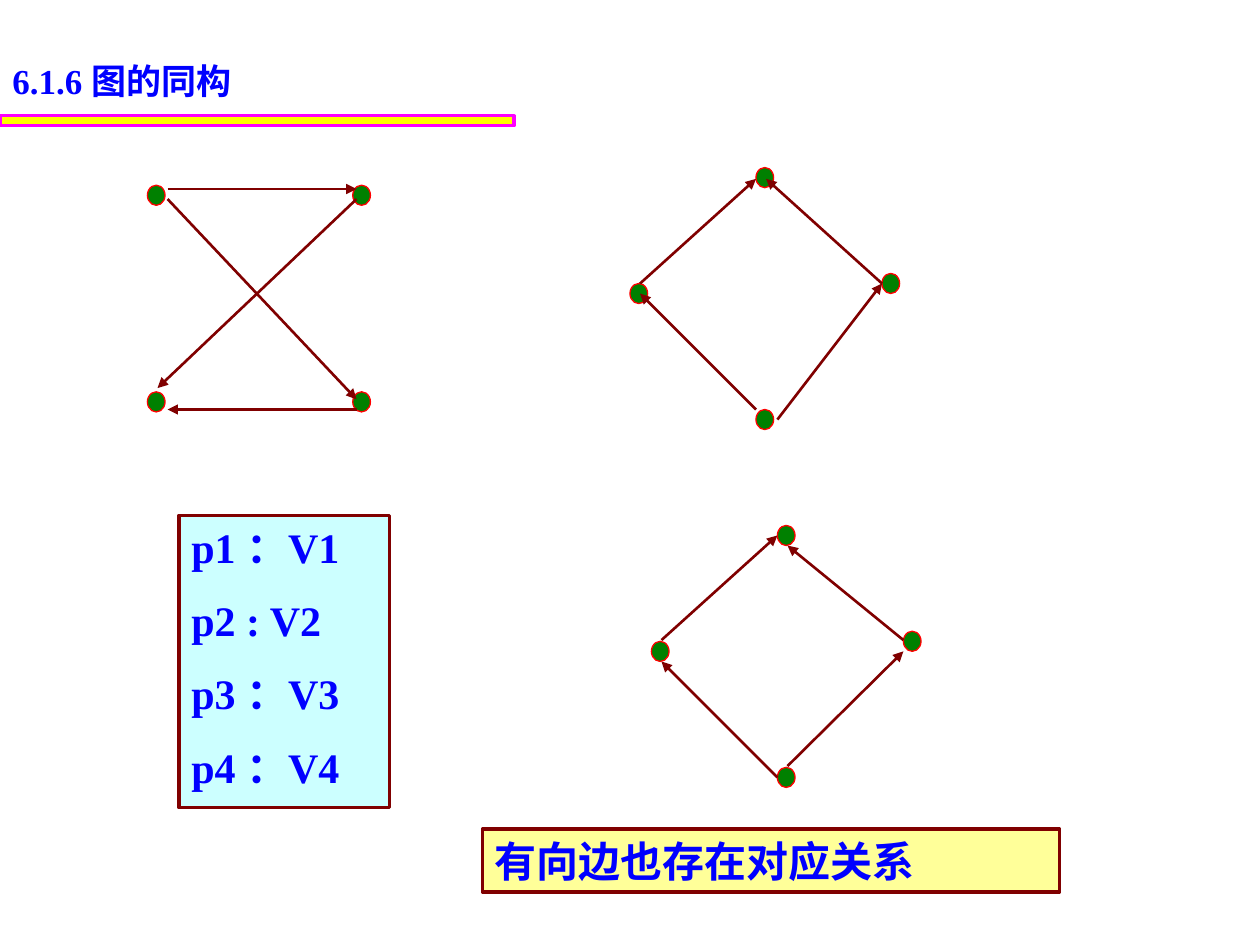
import pptx
import pptx.dml.color
import pptx.enum.shapes
import pptx.enum.text
import pptx.oxml.ns
import pptx.util
from lxml import etree
from pptx.util import Inches

RGBColor = pptx.dml.color.RGBColor
BLUE = RGBColor(0x00, 0x00, 0xFF)
MAROON = RGBColor(0x80, 0x00, 0x00)
GREEN = RGBColor(0x00, 0x80, 0x00)
RED = RGBColor(0xFF, 0x00, 0x00)
YELLOW = RGBColor(0xFF, 0xFF, 0x00)
MAGENTA = RGBColor(0xFF, 0x00, 0xFF)
PALE_CYAN = RGBColor(0xCC, 0xFF, 0xFF)
PALE_YELLOW = RGBColor(0xFF, 0xFF, 0x99)

SERIF = "Times New Roman"
CHINESE = "Noto Sans CJK SC"
KINDS = pptx.enum.shapes.MSO_SHAPE
NODE_SIZE = (0.14, 0.16)


def add_shape(shapes, kind, box, fill, line, weight):
    shape = shapes.add_shape(kind, *map(Inches, box))
    shape.shadow.inherit = False
    shape.fill.solid()
    shape.fill.fore_color.rgb = fill
    shape.line.color.rgb = line
    shape.line.width = pptx.util.Pt(weight)
    return shape


def add_arrow(shapes, start, end):
    arrow = shapes.add_connector(
        pptx.enum.shapes.MSO_CONNECTOR.STRAIGHT, *map(Inches, start + end))
    arrow.line.color.rgb = MAROON
    arrow.line.width = pptx.util.Pt(1.5)
    qn = pptx.oxml.ns.qn
    etree.SubElement(arrow.line._get_or_add_ln(), qn("a:tailEnd"), type="triangle")
    etree.SubElement(arrow._element.spPr, qn("a:effectLst"))


def set_font(font, size, name):
    font.size = pptx.util.Pt(size)
    font.name = name
    font.bold = True
    font.color.rgb = BLUE


def set_east_asian_font(span):
    etree.SubElement(span._r.get_or_add_rPr(), pptx.oxml.ns.qn("a:ea"), typeface=CHINESE)


def add_title(page, left, top, width):
    box = page.shapes.add_textbox(*map(Inches, (left, top, width, 0.43)))
    box.text_frame.word_wrap = True
    para = box.text_frame.paragraphs[0]
    for text, name in (("6.1.6 ", SERIF), ("图的同构", "Arial")):
        span = para.add_run()
        span.text = text
        set_font(span.font, 20, name)
        set_east_asian_font(span)
    add_shape(page.shapes, KINDS.RECTANGLE, (left, top + 0.5, 4.08, 0.08),
              YELLOW, MAGENTA, 1.75)


def add_graph(shapes, left, top, nodes, edges):
    for x, y in nodes:
        add_shape(shapes, KINDS.OVAL, (left + x, top + y, *NODE_SIZE), GREEN, RED, 0.75)
    for x1, y1, x2, y2 in edges:
        add_arrow(shapes, (left + x1, top + y1), (left + x2, top + y2))


def add_panel(page, box, fill, lines, name):
    panel = add_shape(page.shapes, KINDS.RECTANGLE, box, fill, MAROON, 2)
    frame = panel.text_frame
    frame.word_wrap = True
    frame.vertical_anchor = pptx.enum.text.MSO_ANCHOR.TOP
    for index, text in enumerate(lines):
        para = frame.add_paragraph() if index else frame.paragraphs[0]
        para.alignment = pptx.enum.text.PP_ALIGN.LEFT
        if index:
            para.space_before = pptx.util.Pt(13)
        set_font(para.font, 24, name)
        span = para.add_run()
        span.text = text
        set_east_asian_font(span)


def main():
    deck = pptx.Presentation()
    deck.slide_width, deck.slide_height = Inches(10), Inches(7.5)
    page = deck.slides.add_slide(deck.slide_layouts[6])

    add_title(page, 0, 0.42, 4.33)
    add_graph(page.shapes, 1.17, 1.47,
              [(x, y) for y in (0, 1.64) for x in (0, 1.63)],
              [(0.16, 0.03, 1.66, 0.03), (0.16, 0.11, 1.66, 1.7),
               (1.66, 0.11, 0.08, 1.61), (1.66, 1.78, 0.16, 1.78)])

    diamond = [(2, 0.84), (0, 0.92), (1, 0), (1, 1.92)]
    add_graph(page.shapes, 5, 1.33, diamond,
              [(0.08, 0.92, 1, 0.09), (2, 0.92, 1.08, 0.09),
               (1, 1.92, 0.08, 1), (1.17, 2, 2, 0.92)])
    add_panel(page, (1.42, 4.09, 1.67, 2.32), PALE_CYAN,
              ["p1 ：V1", "p2 : V2", "p3 ：V3", "p4 ：V4"], SERIF)
    group = page.shapes.add_group_shape()
    add_graph(group.shapes, 5.17, 4.17, diamond,
              [(1.08, 1.91, 2, 1), (1, 2, 0.08, 1.08),
               (2, 0.91, 1.08, 0.16), (0.08, 0.91, 1, 0.08)])
    add_panel(page, (3.83, 6.58, 4.58, 0.5), PALE_YELLOW,
              ["有向边也存在对应关系"], CHINESE)

    deck.save("out.pptx")


if __name__ == "__main__":
    main()
